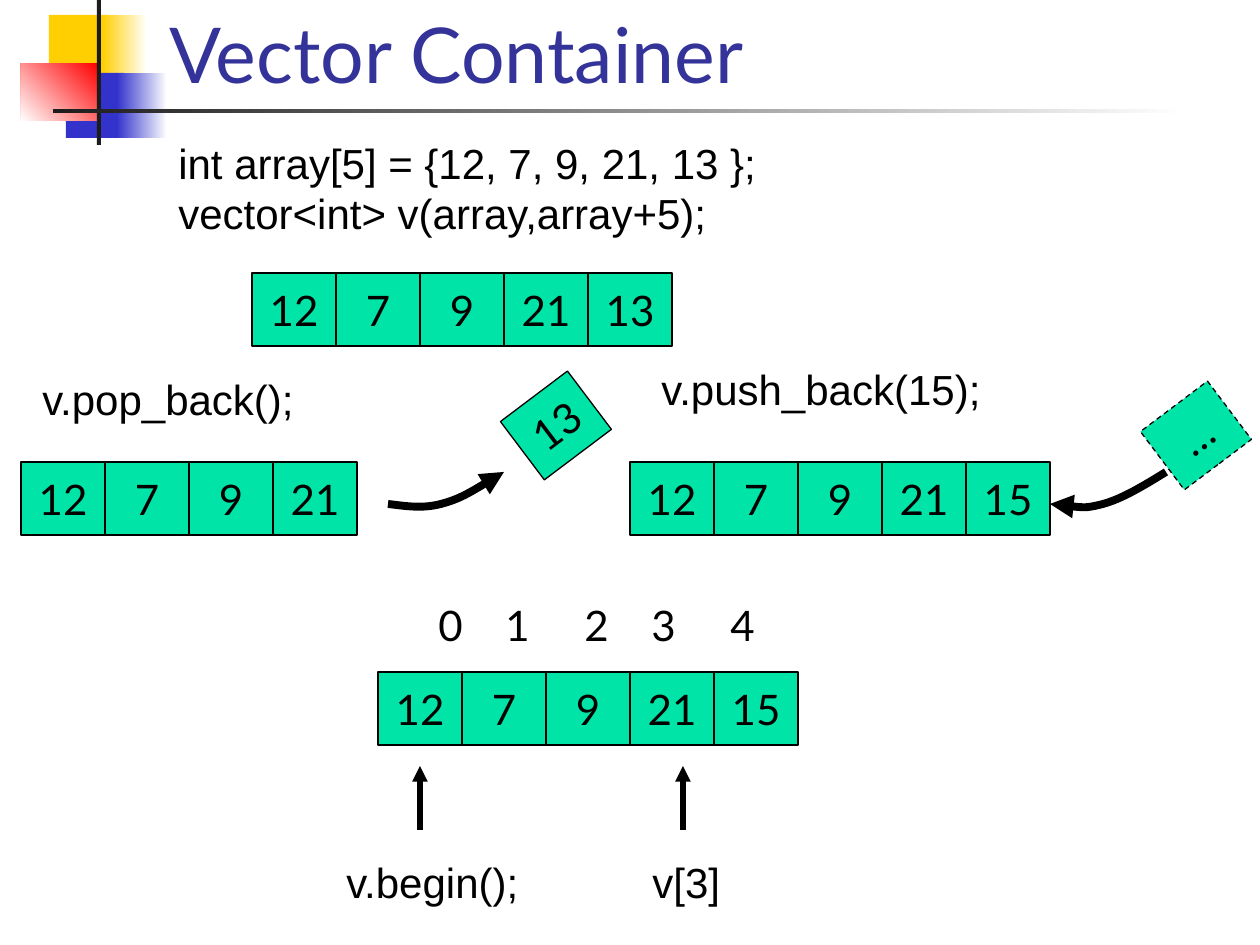
from dataclasses import dataclass

from lxml import etree
from pptx import Presentation
from pptx.dml.color import RGBColor
from pptx.enum.dml import MSO_LINE
from pptx.enum.shapes import MSO_CONNECTOR, MSO_SHAPE
from pptx.enum.text import MSO_ANCHOR, MSO_AUTO_SIZE, PP_ALIGN
from pptx.oxml.ns import qn
from pptx.util import Pt

RECT = MSO_SHAPE.RECTANGLE
STRAIGHT = MSO_CONNECTOR.STRAIGHT
DASH = MSO_LINE.DASH
MIDDLE, BOTTOM = MSO_ANCHOR.MIDDLE, MSO_ANCHOR.BOTTOM
NO_FIT = MSO_AUTO_SIZE.NONE
LEFT, CENTER = PP_ALIGN.LEFT, PP_ALIGN.CENTER

PX = 914400 / 126
CELL_W, CELL_H = 84, 73
TILT = 323


@dataclass(frozen=True)
class Theme:
    black: str = "000000"
    white: str = "FFFFFF"
    dark: str = "1C1C1C"
    yellow: str = "FFCF01"
    blue: str = "3333CC"
    red: str = "FF0000"
    title: str = "333399"
    cell: str = "00E4A8"
    label_font: str = "Lato"
    code_font: str = "Arial"
    title_size: int = 44
    body_size: int = 24
    cell_line: float = 0.75
    pointer_line: float = 3
    curve_line: float = 4.5


def emu(*lengths):
    return [round(length * PX) for length in lengths]


def rgb(color):
    return RGBColor.from_string(color)


class Deck:
    def __init__(self, theme):
        self.theme = theme
        self.prs = Presentation()
        self.prs.slide_width, self.prs.slide_height = emu(1260, 945)
        self.slide = self.prs.slides.add_slide(self.prs.slide_layouts[5])

    def format_text(self, tf, font, size, color, align=LEFT):
        for p in tf.paragraphs:
            p.alignment = align
            p.font.name, p.font.size = font, Pt(size)
            p.font.color.rgb = rgb(color)

    def title(self, text, x, y, w, h):
        sp = self.slide.shapes.title
        sp.left, sp.top, sp.width, sp.height = emu(x, y, w, h)
        tf = sp.text_frame
        tf.text, tf.vertical_anchor, tf.auto_size = text, BOTTOM, NO_FIT
        t = self.theme
        self.format_text(tf, t.label_font, t.title_size, t.title)

    def block(self, x, y, w, h, color):
        sp = self.slide.shapes.add_shape(RECT, *emu(x, y, w, h))
        sp.shadow.inherit = False
        sp.fill.solid()
        sp.fill.fore_color.rgb = rgb(color)
        sp.line.fill.background()
        return sp

    def fade(self, x, y, w, h, start, end, angle=180):
        fill = self.block(x, y, w, h, start).fill
        fill.gradient()
        fill.gradient_angle = angle
        for stop, color in zip(fill.gradient_stops, (start, end)):
            stop.color.rgb = rgb(color)

    def cell(self, text, x, y, rotation=0, dash=None):
        t = self.theme
        sp = self.block(x, y, CELL_W, CELL_H, t.cell)
        sp.rotation = rotation
        self.stroke(sp.line, t.cell_line)
        if dash:
            sp.line.dash_style = dash
        tf = sp.text_frame
        tf.text, tf.vertical_anchor, tf.word_wrap = text, MIDDLE, False
        self.format_text(tf, t.label_font, t.body_size, t.black, CENTER)

    def row(self, values, x, y):
        for i, value in enumerate(values):
            self.cell(str(value), x + i * CELL_W, y)

    def text(self, text, x, y, w, h=63, font=None, tabs=()):
        t = self.theme
        tf = self.slide.shapes.add_textbox(*emu(x, y, w, h)).text_frame
        tf.text, tf.word_wrap, tf.auto_size = text, True, NO_FIT
        self.format_text(tf, font or t.code_font, t.body_size, t.black)
        if tabs:
            tab_list = etree.Element(qn("a:tabLst"))
            for position in emu(*tabs):
                etree.SubElement(tab_list, qn("a:tab"), pos=str(position), algn="l")
            tf.paragraphs[0]._p.get_or_add_pPr().insert(0, tab_list)

    def stroke(self, line, width, arrow_end=None):
        line.color.rgb = rgb(self.theme.black)
        line.width = Pt(width)
        if arrow_end:
            etree.SubElement(line._get_or_add_ln(), qn(f"a:{arrow_end}"), type="triangle")

    def pointer(self, x, y1, y2):
        s = self.slide.shapes.add_connector(STRAIGHT, *emu(x, y1, x, y2))
        self.stroke(s.line, self.theme.pointer_line, "tailEnd")
        etree.SubElement(s._element.spPr, qn("a:effectLst"))

    def curve(self, x, y, arrow_end):
        offsets = [(0, 32), (17, 34), (34, 37), (53, 32), (72, 27), (95, 13), (116, 0)]
        start, *rest = [(x + dx, y + dy) for dx, dy in offsets]
        builder = self.slide.shapes.build_freeform(*start, scale=PX)
        builder.add_line_segments(rest, close=False)
        sp = builder.convert_to_shape()
        sp.shadow.inherit = False
        sp.fill.background()
        self.stroke(sp.line, self.theme.curve_line, arrow_end)
        lines = sp._element.xpath(".//a:lnTo")
        for i in range(0, len(lines), 3):
            bezier = etree.Element(qn("a:cubicBezTo"))
            lines[i].addprevious(bezier)
            for line in lines[i:i + 3]:
                bezier.append(line[0])
                line.getparent().remove(line)


def main():
    t = Theme()
    d = Deck(t)

    d.block(49, 15, 60, 65, t.yellow)
    d.fade(102, 15, 45, 65, t.white, t.yellow)
    d.block(66, 73, 58, 65, t.blue)
    d.fade(117, 73, 50, 65, t.white, t.blue)
    d.fade(21, 63, 77, 58, t.red, t.white, 225)
    d.block(97, 0, 4, 145, t.dark)
    d.fade(53, 109, 1134, 4, t.white, t.dark)
    d.title("Vector Container", 157, -53, 1074, 158)

    d.text("int array[5] = {12, 7, 9, 21, 13 };\nvector<int> v(array,array+5);",
           166, 131, 620, 113)
    values = [12, 7, 9, 21, 13]
    d.row(values, 252, 273)

    d.text("v.pop_back();", 30, 367, 280)
    d.row(values[:-1], 21, 462)
    d.cell("13", 514, 389, TILT)
    d.curve(388, 472, "tailEnd")

    pushed = values[:-1] + [15]
    d.text("v.push_back(15);", 649, 357, 360)
    d.row(pushed, 630, 462)
    d.cell("…", 1154, 399, TILT, DASH)
    d.curve(1050, 472, "headEnd")

    d.text("0\t1\t2\t3\t4", 426, 593, 360, font=t.label_font, tabs=(67, 146, 213, 292))
    d.row(pushed, 378, 672)
    for label, x, w, arrow_x in (("v.begin();", 334, 212, 420), ("v[3]", 640, 105, 683)):
        d.pointer(arrow_x, 830, 766)
        d.text(label, x, 850, w)

    d.prs.save("out.pptx")


if __name__ == "__main__":
    main()
